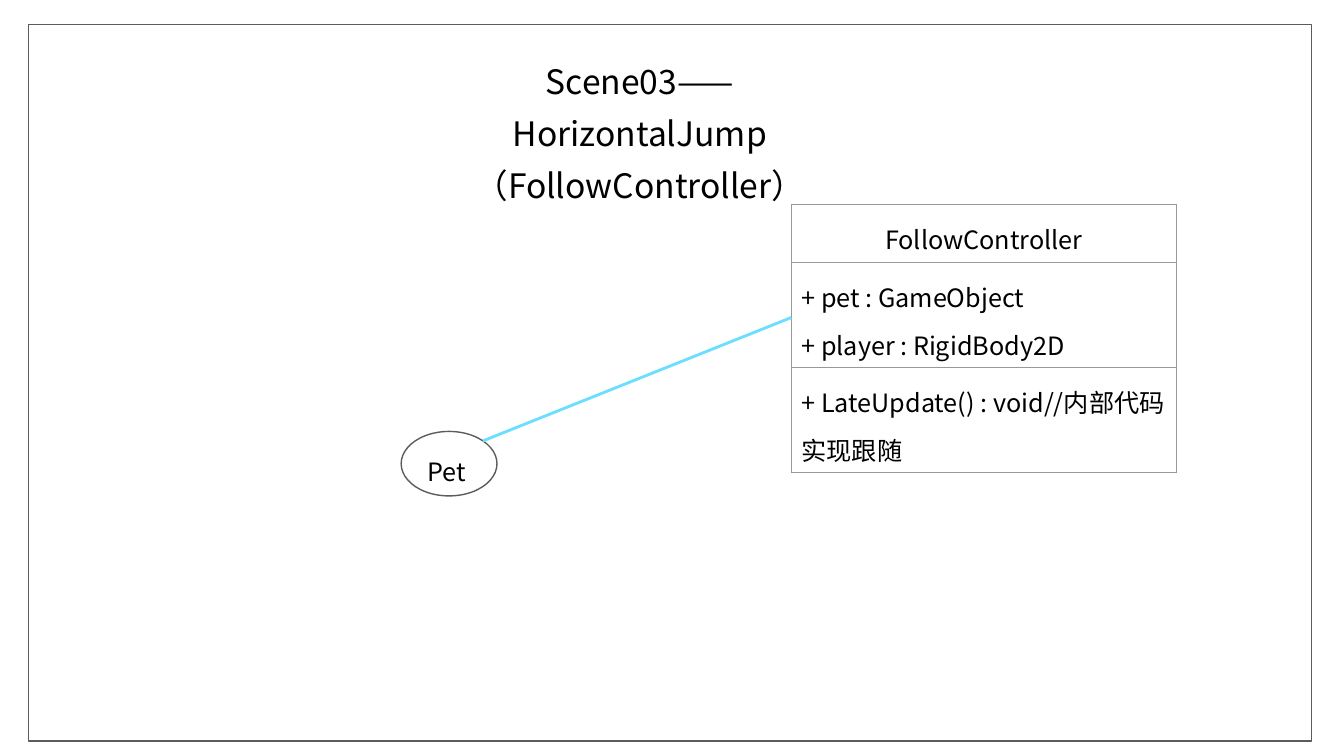
"""Build the Scene03 class slide: FollowController linked to the Pet object."""
from dataclasses import dataclass
from math import sqrt

from lxml import etree
from pptx import Presentation
from pptx import util as u
from pptx.dml.color import RGBColor
from pptx.enum import shapes, text
from pptx.oxml import ns


@dataclass(frozen=True)
class Theme:
    font: str = "Noto Sans CJK SC"
    ink: RGBColor = RGBColor(0, 0, 0)
    paper: RGBColor = RGBColor(255, 255, 255)
    outline: RGBColor = RGBColor(0x5C, 0x5C, 0x5C)
    link: RGBColor = RGBColor(0x6C, 0xDE, 0xFF)
    border: str = "999999"
    title_size: int = 24
    body_size: int = 18
    spacing: float = 1.3


theme = Theme()
deck = Presentation()
deck.slide_width, deck.slide_height = u.Inches(13.33), u.Inches(7.5)
slide = deck.slides.add_slide(deck.slide_layouts[5])


def area(left, top, width, height):
    """Turn percentages of the slide into a position and a size."""
    across, down = deck.slide_width / 100, deck.slide_height / 100
    return [int(v) for v in (left * across, top * down, width * across, height * down)]


def write(frame, lines, size, align):
    """Fill a text frame with evenly styled paragraphs."""
    frame.text = "\n".join(lines)
    frame.word_wrap = True
    for paragraph in frame.paragraphs:
        paragraph.alignment = align
        paragraph.line_spacing = theme.spacing
        paragraph.font.size = u.Pt(size)
        paragraph.font.name = theme.font
        paragraph.font.color.rgb = theme.ink
        defaults = paragraph._p.pPr.find(ns.qn("a:defRPr"))
        etree.SubElement(defaults, ns.qn("a:ea"), typeface=theme.font)


center, left = text.PP_ALIGN.CENTER, text.PP_ALIGN.LEFT

heading = slide.shapes.title
heading.left, heading.top, heading.width, heading.height = area(30.6, 5.73, 34, 15.47)
write(heading.text_frame, ["Scene03——HorizontalJump", "（FollowController）"],
      theme.title_size, center)
heading.text_frame.vertical_anchor = text.MSO_ANCHOR.TOP
heading.text_frame.auto_size = text.MSO_AUTO_SIZE.NONE

border_box = area(2.1, 3.2, 95.5, 94.8)
pet_box = area(29.85, 57.07, 7.13, 8.53)
for preset, box in ((shapes.MSO_SHAPE.RECTANGLE, border_box),
                    (shapes.MSO_SHAPE.OVAL, pet_box)):
    outline = slide.shapes.add_shape(preset, *box)
    outline.shadow.inherit = False
    outline.fill.background()
    outline.line.color.rgb = theme.outline
    outline.line.width = u.Pt(1)

pet_label = slide.shapes.add_textbox(*area(31.05, 58.53, 5.85, 6.53))
write(pet_label.text_frame, ["Pet"], theme.body_size, left)

members = [
    (["FollowController"], center, 7.67),
    (["+ pet : GameObject", "+ player : RigidBody2D"], left, 13.87),
    (["+ LateUpdate() : void//内部代码实现跟随"], left, 13.87),
]
class_box = area(58.88, 27.07, 28.65, sum(share for *_, share in members))
class_table = slide.shapes.add_table(len(members), 1, *class_box).table
for row, (lines, align, share) in zip(class_table.rows, members):
    row.height = int(deck.slide_height * share / 100)
    cell = row.cells[0]
    cell.fill.solid()
    cell.fill.fore_color.rgb = theme.paper
    write(cell.text_frame, lines, theme.body_size, align)
    for order, side in enumerate(("lnL", "lnR", "lnT", "lnB")):
        edge = etree.Element(ns.qn(f"a:{side}"), w=str(u.Pt(1)))
        solid = etree.SubElement(edge, ns.qn("a:solidFill"))
        etree.SubElement(solid, ns.qn("a:srgbClr"), val=theme.border)
        cell._tc.get_or_add_tcPr().insert(order, edge)

pet_left, pet_top, pet_width, pet_height = pet_box
diagonal = 1 / sqrt(2)
link = slide.shapes.add_connector(
    shapes.MSO_CONNECTOR.STRAIGHT,
    int(pet_left + pet_width / 2 * (1 + diagonal)),
    int(pet_top + pet_height / 2 * (1 - diagonal)),
    class_box[0], int(deck.slide_height * 0.42))
link.line.color.rgb = theme.link
link.line.width = u.Pt(2)
etree.SubElement(link._element.spPr, ns.qn("a:effectLst"))

deck.save("out.pptx")
